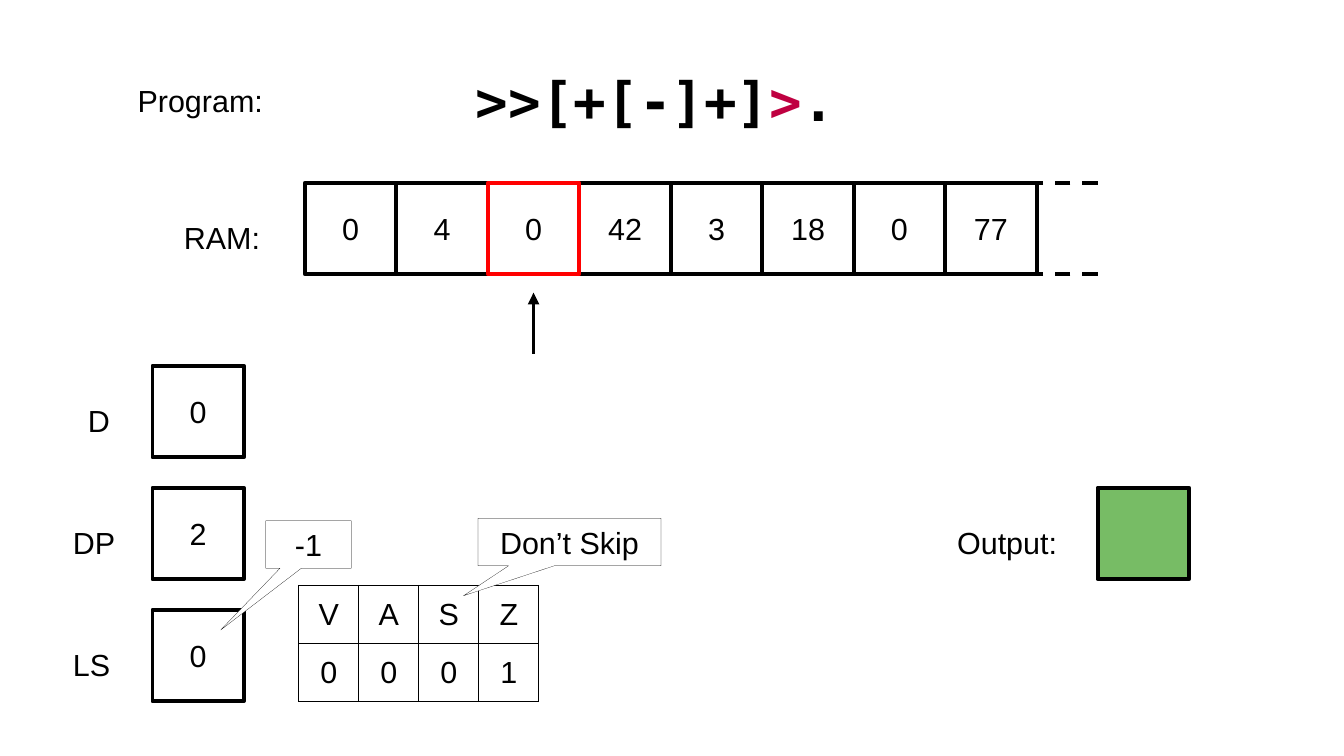
from dataclasses import dataclass

from lxml import etree
from pptx import Presentation
from pptx.dml.color import RGBColor
from pptx.enum import dml, shapes, text
from pptx.oxml import ns
from pptx.util import Inches, Pt

BLACK, RED, CRIMSON, GREEN, WHITE = "000000", "FF0000", "BF0041", "77BC65", "FFFFFF"
BODY_FONT, CODE_FONT = "Arial", "DejaVu Sans Mono"
CELL = 0.75
RAM_LEFT, RAM_TOP = 2.5, 1.5
RAM_VALUES = ["0", "4", "0", "42", "3", "18", "0", "77"]
DATA_POINTER = 2
LINE_WIDTH, HAIRLINE = 2.3, 0.1
REGISTER_LEFT = 1.25
FLAGS = [["V", "A", "S", "Z"], ["0", "0", "0", "1"]]


@dataclass
class Label:
    words: str
    left: float
    top: float
    width: float
    height: float = 0.38
    align: text.PP_ALIGN = text.PP_ALIGN.LEFT


@dataclass
class Register:
    value: str
    top: float


@dataclass
class Callout:
    words: str
    left: float
    top: float
    width: float
    pointer: tuple[float, float]


LABELS = [
    Label("Program:", 1.03, 0.62, 1.4),
    Label("RAM:", 1.41, 1.75, 1, 0.66),
    Label("D", 0.5, 3.25, 0.5, align=text.PP_ALIGN.RIGHT),
    Label("DP", 0.5, 4.25, 0.7),
    Label("LS", 0.5, 5.25, 0.7),
    Label("Output:", 7.75, 4.25, 1.15, 0.66),
]
REGISTERS = [Register("0", 3), Register("2", 4), Register("0", 5)]
CALLOUTS = [
    Callout("Don’t Skip", 3.92, 4.25, 1.5, (-0.58, 1.13)),
    Callout("-1", 2.18, 4.27, 0.7, (-1.03, 1.8)),
]


def color(value: str) -> RGBColor:
    return RGBColor.from_string(value)


def add_run(paragraph, words: str, *, size: float = 18, font: str = BODY_FONT,
            fill: str = BLACK, bold: bool = False) -> None:
    run = paragraph.add_run()
    run.text = words
    run.font.size = Pt(size)
    run.font.name = font
    run.font.bold = bold
    run.font.color.rgb = color(fill)


def set_margins(target, horizontal: float, vertical: float) -> None:
    target.margin_left = target.margin_right = Inches(horizontal)
    target.margin_top = target.margin_bottom = Inches(vertical)


def add_box(slide, words: str, left: float, top: float, width: float = CELL,
            height: float = CELL, *, kind=shapes.MSO_SHAPE.RECTANGLE,
            fill: str | None = None, line: str = BLACK, line_width: float = LINE_WIDTH):
    shape = slide.shapes.add_shape(
        kind, Inches(left), Inches(top), Inches(width), Inches(height))
    shape.shadow.inherit = False
    if fill:
        shape.fill.solid()
        shape.fill.fore_color.rgb = color(fill)
    else:
        shape.fill.background()
    shape.line.color.rgb = color(line)
    shape.line.width = Pt(line_width)
    frame = shape.text_frame
    frame.vertical_anchor = text.MSO_ANCHOR.MIDDLE
    set_margins(frame, 0.1, 0.05)
    if words:
        frame.paragraphs[0].alignment = text.PP_ALIGN.CENTER
        add_run(frame.paragraphs[0], words)
    return shape


def add_text_box(slide, label: Label):
    """Add a text box and return its first paragraph."""
    box = slide.shapes.add_textbox(
        Inches(label.left), Inches(label.top), Inches(label.width), Inches(label.height))
    frame = box.text_frame
    frame.word_wrap = True
    frame.auto_size = text.MSO_AUTO_SIZE.SHAPE_TO_FIT_TEXT
    paragraph = frame.paragraphs[0]
    paragraph.alignment = label.align
    if label.words:
        add_run(paragraph, label.words)
    return paragraph


def add_line(slide, start: tuple[float, float], end: tuple[float, float]):
    connector = slide.shapes.add_connector(
        shapes.MSO_CONNECTOR.STRAIGHT, *map(Inches, start + end))
    connector.line.color.rgb = color(BLACK)
    connector.line.width = Pt(LINE_WIDTH)
    etree.SubElement(connector.element.spPr, ns.qn("a:effectLst"))
    return connector


def add_arrow(slide, start: tuple[float, float], end: tuple[float, float]) -> None:
    connector = add_line(slide, start, end)
    outline = connector.element.spPr.find(ns.qn("a:ln"))
    etree.SubElement(outline, ns.qn("a:tailEnd"), type="triangle")


def add_borders(cell) -> None:
    properties = cell._tc.get_or_add_tcPr()
    for side in ("lnL", "lnR", "lnT", "lnB"):
        border = etree.SubElement(properties, ns.qn(f"a:{side}"), w=str(Pt(0.57)))
        fill = etree.SubElement(border, ns.qn("a:solidFill"))
        etree.SubElement(fill, ns.qn("a:srgbClr"), val=BLACK)


def add_flags(slide) -> None:
    table = slide.shapes.add_table(
        len(FLAGS), len(FLAGS[0]), Inches(2.45), Inches(4.8),
        Inches(1.97), Inches(0.95)).table
    table.first_row = table.horz_banding = False
    for row, height in zip(table.rows, (0.48, 0.47)):
        row.height = Inches(height)
    for row_index, row in enumerate(FLAGS):
        for column_index, words in enumerate(row):
            cell = table.cell(row_index, column_index)
            add_borders(cell)
            cell.fill.background()
            cell.vertical_anchor = text.MSO_ANCHOR.MIDDLE
            set_margins(cell, 0.04, 0.05)
            paragraph = cell.text_frame.paragraphs[0]
            paragraph.alignment = text.PP_ALIGN.CENTER
            add_run(paragraph, words)


def add_ram(slide) -> None:
    """Draw the memory cells, with the current one on top, and the pointer."""
    order = sorted(range(len(RAM_VALUES)), key=lambda index: index == DATA_POINTER)
    for index in order:
        add_box(slide, RAM_VALUES[index], RAM_LEFT + index * CELL, RAM_TOP,
                line=RED if index == DATA_POINTER else BLACK)
    right = RAM_LEFT + len(RAM_VALUES) * CELL
    for y in (RAM_TOP, RAM_TOP + CELL):
        edge = add_line(slide, (right + 0.5, y), (right, y))
        edge.line.dash_style = dml.MSO_LINE.DASH
    x = RAM_LEFT + (DATA_POINTER + 0.5) * CELL
    add_arrow(slide, (x, 2.9), (x, 2.4))


def main() -> None:
    presentation = Presentation()
    presentation.slide_width = Inches(11.02)
    presentation.slide_height = Inches(6.2)
    slide = presentation.slides.add_slide(presentation.slide_layouts[6])

    for label in LABELS:
        add_text_box(slide, label)
    program = add_text_box(
        slide, Label("", 2.25, 0.5, 6.25, 0.62, align=text.PP_ALIGN.CENTER))
    for words, fill in ((">>[+[-]+]", BLACK), (">", CRIMSON), (".", BLACK)):
        add_run(program, words, size=32, font=CODE_FONT, fill=fill, bold=True)

    add_ram(slide)
    add_flags(slide)
    for register in REGISTERS:
        add_box(slide, register.value, REGISTER_LEFT, register.top)
    add_box(slide, "", 9, 4, fill=GREEN)
    for callout in CALLOUTS:
        shape = add_box(slide, callout.words, callout.left, callout.top, callout.width,
                        0.39, kind=shapes.MSO_SHAPE.RECTANGULAR_CALLOUT,
                        fill=WHITE, line_width=HAIRLINE)
        shape.adjustments[0], shape.adjustments[1] = callout.pointer

    presentation.save("out.pptx")


if __name__ == "__main__":
    main()
